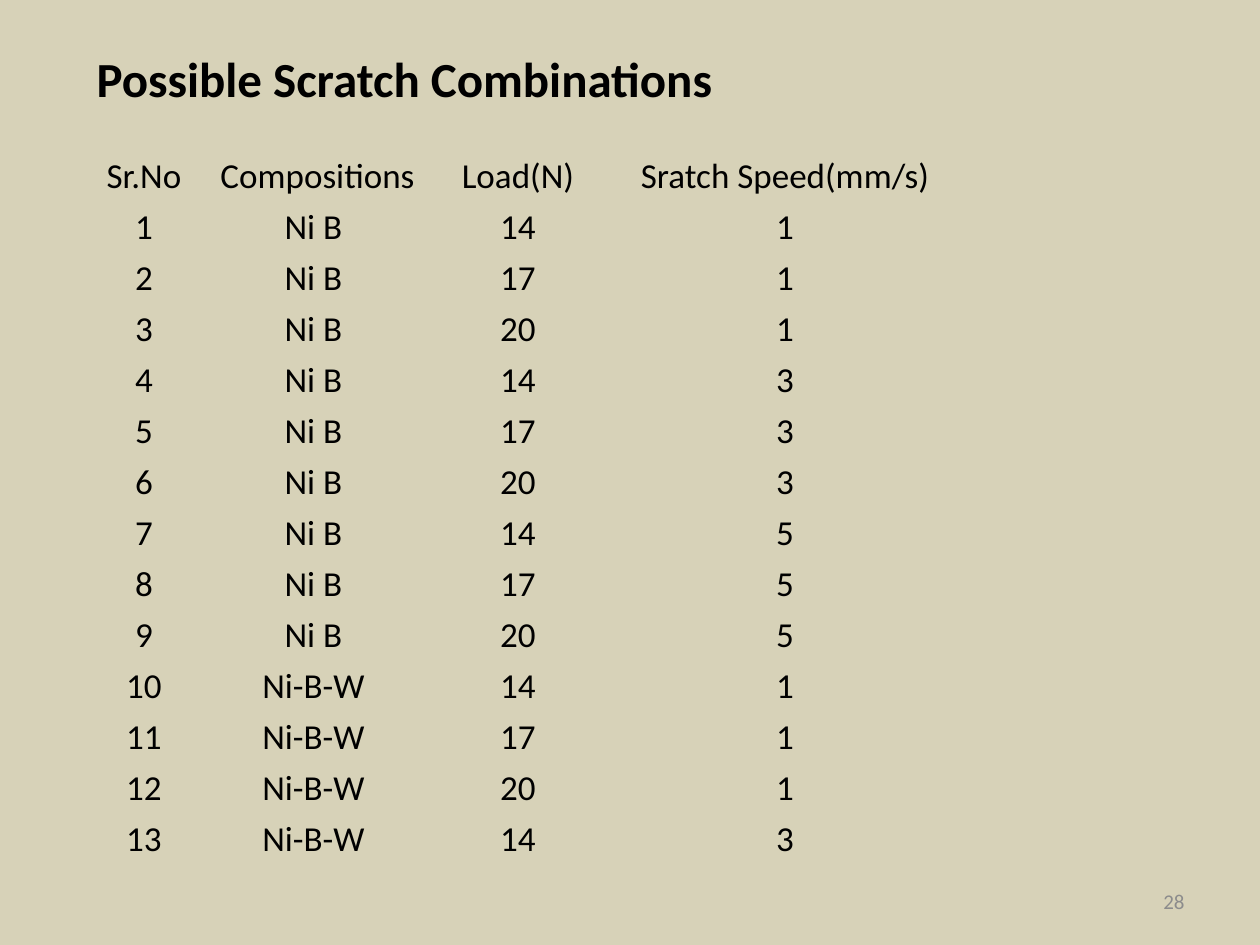
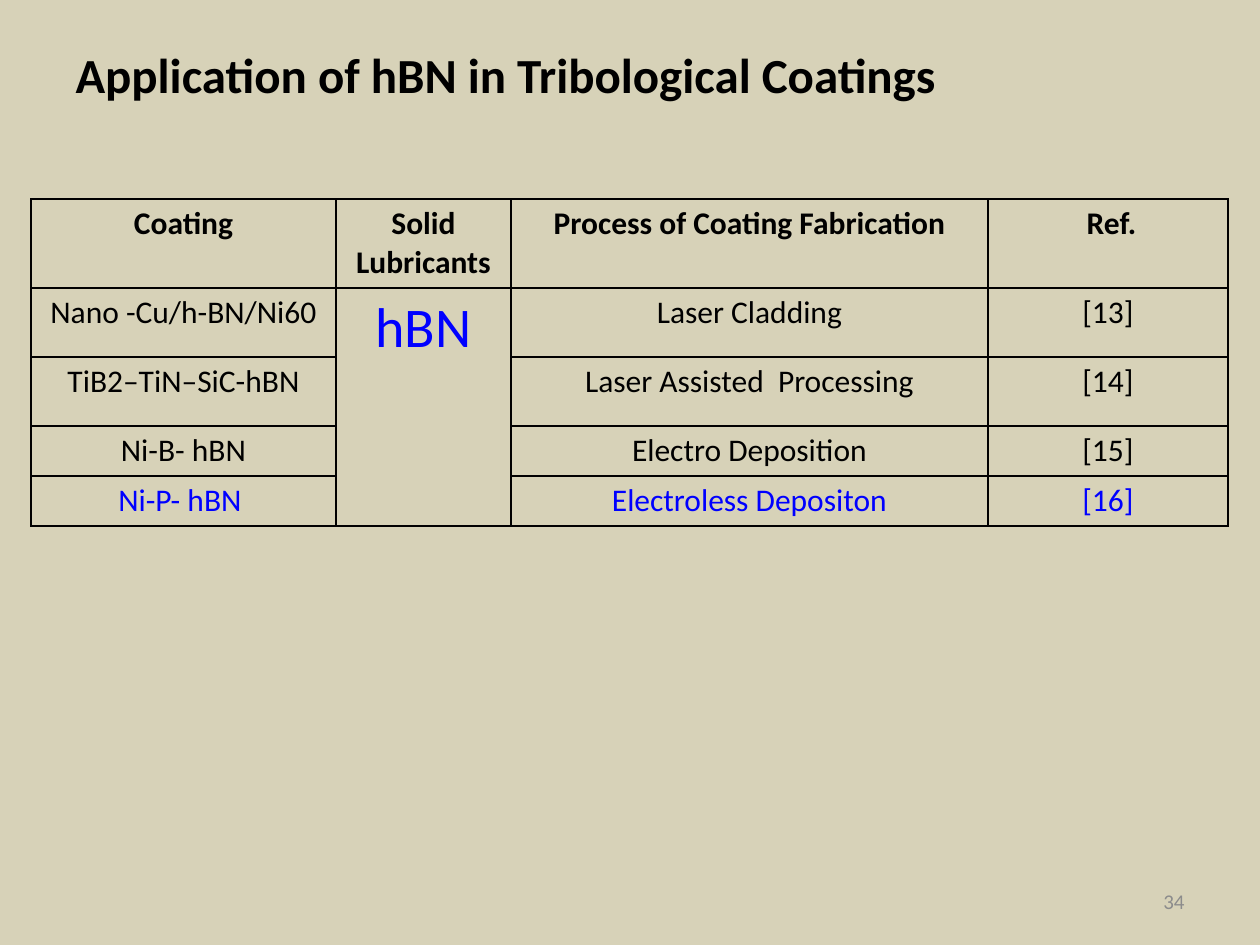
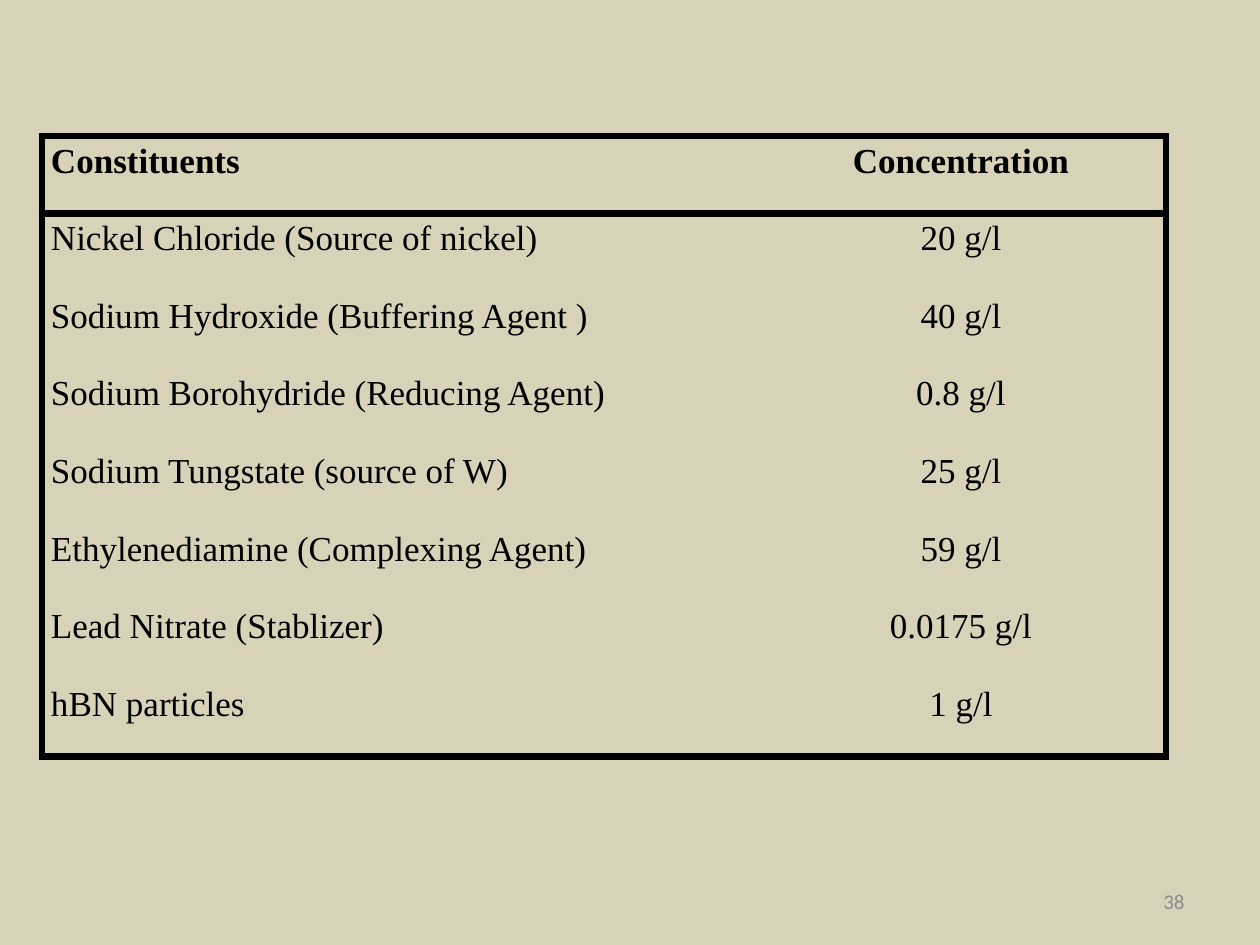
from dataclasses import dataclass
from itertools import islice, product

from lxml.etree import SubElement
from pptx import Presentation
from pptx.dml.color import RGBColor
from pptx.enum.text import MSO_ANCHOR as Anchor, MSO_AUTO_SIZE as AutoSize, PP_ALIGN as Align
from pptx.oxml.ns import qn
from pptx.util import Emu, Pt

EMU_PER_PX = 914400 / 126
TITLE_ONLY, BLANK = 5, 6


@dataclass(frozen=True)
class Theme:
    background: RGBColor = RGBColor(0xD7, 0xD2, 0xB8)
    text: RGBColor = RGBColor(0, 0, 0)
    highlight: RGBColor = RGBColor(0, 0, 0xFF)
    muted: RGBColor = RGBColor(0x8C, 0x8C, 0x8C)
    sans: str = "Calibri"
    serif: str = "Times New Roman"
    title_size: int = 28
    emphasis_size: int = 32
    large_size: int = 20
    table_size: int = 18
    number_size: int = 12
    thin_line: float = 1
    thick_line: float = 4.5


THEME = Theme()


def px(length):
    return Emu(round(length * EMU_PER_PX))


def style_paragraph(paragraph, size, color=THEME.text, bold=False,
                    align=Align.LEFT, font_name=THEME.sans):
    paragraph.alignment = align
    font = paragraph.font
    font.name, font.size, font.bold = font_name, Pt(size), bold
    font.color.rgb = color


def add_slide(presentation, layout, number):
    slide = presentation.slides.add_slide(presentation.slide_layouts[layout])
    box = slide.shapes.add_textbox(px(903), px(876), px(294), px(50))
    frame = box.text_frame
    frame.word_wrap = True
    frame.vertical_anchor = Anchor.MIDDLE
    frame.text = str(number)
    style_paragraph(frame.paragraphs[0], THEME.number_size, THEME.muted, align=Align.RIGHT)
    return slide


def set_title(slide, text, left, top, width, height):
    title = slide.shapes.title
    title.left, title.top, title.width, title.height = map(px, (left, top, width, height))
    frame = title.text_frame
    frame.text = text
    frame.vertical_anchor = Anchor.TOP
    frame.auto_size = AutoSize.NONE
    style_paragraph(frame.paragraphs[0], THEME.title_size, bold=True)


def set_borders(cell, **widths):
    """Draw the sides given in points (L, R, T, B) and clear the others."""
    properties = cell._tc.get_or_add_tcPr()
    for side in "LRTB":
        width = widths.get(side, 0)
        line = SubElement(properties, qn(f"a:ln{side}"), w=str(Pt(width)))
        if width:
            fill = SubElement(line, qn("a:solidFill"))
            SubElement(fill, qn("a:srgbClr"), val=str(THEME.text))
        else:
            SubElement(line, qn("a:noFill"))


def add_table(slide, left, top, columns, row_heights, rows, borders, insets,
              anchor=Anchor.TOP, **text_style):
    """Add a clear table; borders(row, column) gives each cell's line widths."""
    frame = slide.shapes.add_table(len(rows), len(columns), px(left), px(top),
                                   px(sum(columns)), px(sum(row_heights)))
    table = frame.table
    table.first_row = table.horz_banding = False
    for column, width in zip(table.columns, columns):
        column.width = px(width)
    for row, height in zip(table.rows, row_heights):
        row.height = px(height)
    for row_index, values in enumerate(rows):
        for column_index, value in enumerate(values):
            cell = table.cell(row_index, column_index)
            cell.text = value
            cell.vertical_anchor = anchor
            (cell.margin_left, cell.margin_top,
             cell.margin_right, cell.margin_bottom) = map(px, insets)
            set_borders(cell, **borders(row_index, column_index))
            cell.fill.background()
            style_paragraph(cell.text_frame.paragraphs[0], **text_style)
    return table


def add_scratch_slide(presentation):
    slide = add_slide(presentation, TITLE_ONLY, 28)
    set_title(slide, "Possible Scratch Combinations", 84, 42, 1124, 83)
    combinations = islice(product(("Ni B ", "Ni-B-W "), "135", ("14", "17", "20")), 13)
    rows = [("Sr.No", "Compositions", "Load(N)", "Sratch Speed(mm/s)")]
    rows += [(str(serial), composition, load, speed)
             for serial, (composition, speed, load) in enumerate(combinations, 1)]
    add_table(slide, 95, 147, (98, 249, 152, 382), [51] * len(rows), rows,
              lambda row, column: {}, (1, 1, 1, 0), Anchor.BOTTOM,
              size=THEME.large_size, align=Align.CENTER)


def add_application_slide(presentation):
    slide = add_slide(presentation, TITLE_ONLY, 34)
    set_title(slide, "Application of hBN in Tribological Coatings", 63, 38, 1134, 98)
    rows = [
        ("Coating", "Solid Lubricants", "Process of Coating Fabrication", " Ref."),
        ("Nano -Cu/h-BN/Ni60", "hBN", "Laser Cladding", "[13]"),
        ("TiB2–TiN–SiC-hBN", "", "Laser Assisted  Processing", "[14]"),
        ("Ni-B- hBN", "", "Electro Deposition", "[15]"),
        ("Ni-P- hBN ", "", "Electroless Depositon", "[16]"),
    ]
    table = add_table(slide, 31, 199, (305, 175, 477, 240), (89, 69, 69, 50, 50), rows,
                      lambda row, column: dict.fromkeys("LRTB", THEME.thin_line),
                      (13, 6, 13, 6), size=THEME.table_size, align=Align.CENTER)
    for column in range(4):
        table.cell(0, column).text_frame.paragraphs[0].font.bold = True
        table.cell(4, column).text_frame.paragraphs[0].font.color.rgb = THEME.highlight
    lubricant = table.cell(1, 1)
    lubricant.merge(table.cell(4, 1))
    style_paragraph(lubricant.text_frame.paragraphs[0], THEME.emphasis_size,
                    THEME.highlight, align=Align.CENTER)


def add_bath_slide(presentation):
    slide = add_slide(presentation, BLANK, 38)
    rows = [
        ("Constituents", "Concentration"),
        ("Nickel Chloride (Source of nickel)", "20 g/l"),
        ("Sodium Hydroxide (Buffering Agent )", "40 g/l"),
        ("Sodium Borohydride (Reducing Agent)", "0.8 g/l"),
        ("Sodium Tungstate (source of W)", "25 g/l"),
        ("Ethylenediamine (Complexing Agent)", "59 g/l"),
        ("Lead Nitrate (Stablizer)", "0.0175 g/l"),
        ("hBN particles", "1 g/l"),
    ]
    last_row = len(rows) - 1

    def frame_borders(row, column):
        sides = "L" if column == 0 else "R"
        if row in (0, 1):
            sides += "T"
        if row in (0, last_row):
            sides += "B"
        return dict.fromkeys(sides, THEME.thick_line)

    table = add_table(slide, 42, 136, (714, 410), [621 / len(rows)] * len(rows), rows,
                      frame_borders, (9, 0, 9, 0),
                      size=THEME.large_size, font_name=THEME.serif)
    for row in range(len(rows)):
        for column, align in enumerate((Align.LEFT, Align.CENTER)):
            paragraph = table.cell(row, column).text_frame.paragraphs[0]
            paragraph.alignment = align
            paragraph.line_spacing = 1.15
            paragraph.font.bold = row == 0


def main():
    presentation = Presentation()
    presentation.slide_width, presentation.slide_height = px(1260), px(945)
    background = presentation.slide_master.background.fill
    background.solid()
    background.fore_color.rgb = THEME.background
    add_scratch_slide(presentation)
    add_application_slide(presentation)
    add_bath_slide(presentation)
    presentation.save("out.pptx")


if __name__ == "__main__":
    main()
